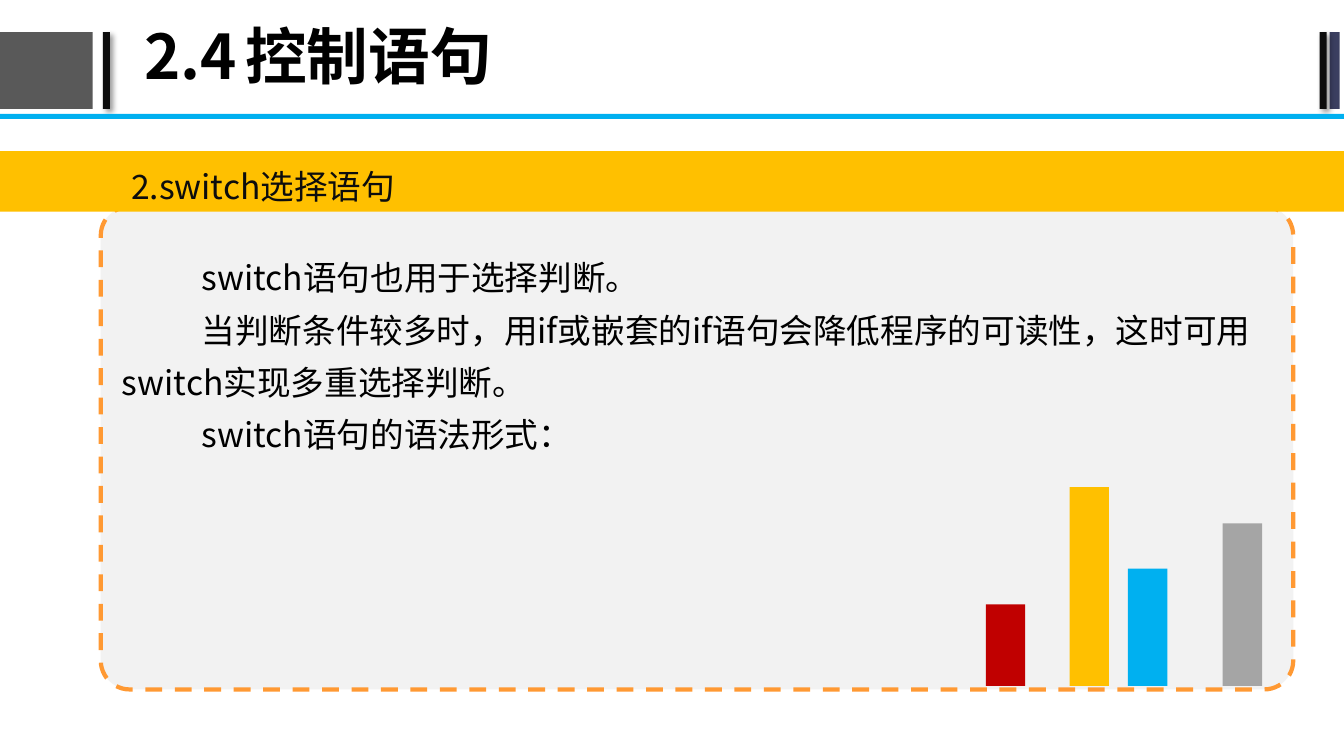
from dataclasses import dataclass

from lxml.etree import SubElement as add_sub
from pptx import Presentation
from pptx.dml.color import RGBColor
from pptx.enum.dml import MSO_LINE_DASH_STYLE as Dash
from pptx.enum.shapes import MSO_SHAPE as Kind
from pptx.enum.text import MSO_ANCHOR as Anchor, MSO_AUTO_SIZE as Fit, PP_ALIGN as Align
from pptx.oxml.ns import qn
from pptx.util import Inches, Pt

WIDE, HIGH = Inches(13.33), Inches(7.5)
FACE = "Noto Sans CJK SC"
FLOOR = 90.73
PAD = {
    "margin_left": Inches(0.13),
    "margin_right": Inches(0.13),
    "margin_top": Inches(0.07),
    "margin_bottom": Inches(0.07),
}


@dataclass
class Area:
    """A rectangle in percent of the slide's width and height."""

    x: float
    y: float
    w: float
    h: float


@dataclass
class Block:
    """A filled rectangle, with or without a soft shadow."""

    area: Area
    fill: str
    shade: bool = False


@dataclass
class Bar:
    """A bar that stands on the floor of the panel."""

    x: float
    h: float
    fill: str


HEAD = [
    Block(Area(0, 4.27, 6.9, 10.13), "595959"),
    Block(Area(7.65, 4.27, 0.53, 10.13), "0D0D0D", True),
    Block(Area(98.93, 4.27, 0.75, 10.13), "3B3F60"),
    Block(Area(98.18, 4.27, 0.53, 10.13), "0D0D0D", True),
    Block(Area(0, 15.07, 100, 0.67), "00B0F0"),
]
PANEL = Block(Area(7.5, 27.33, 88.73, 63.87), "F2F2F2")
BAND = Block(Area(0, 20, 100, 8), "FFC000")
BARS = [
    Bar(90.98, 21.5, "A5A5A5"),
    Bar(83.93, 15.5, "00B0F0"),
    Bar(79.58, 26.3, "FFC000"),
    Bar(73.35, 10.8, "C00000"),
]
LINES = [
    "switch语句也用于选择判断。",
    "当判断条件较多时，用if或嵌套的if语句会降低程序的可读性，这时可用switch实现多重选择判断。",
    "switch语句的语法形式：",
]


def tint(code: str) -> RGBColor:
    """Turn a hex string into a colour."""
    return RGBColor.from_string(code)


def apply(item, values: dict) -> None:
    """Set each named attribute on the item."""
    for name, value in values.items():
        setattr(item, name, value)


def place(area: Area) -> dict:
    """Give the area as position and size values."""
    return {
        "left": int(WIDE * area.x / 100),
        "top": int(HIGH * area.y / 100),
        "width": int(WIDE * area.w / 100),
        "height": int(HIGH * area.h / 100),
    }


def draw(slide, block: Block, kind=Kind.RECTANGLE):
    """Draw a block without an outline."""
    shape = slide.shapes.add_shape(kind, *place(block.area).values())
    shape.fill.solid()
    shape.fill.fore_color.rgb = tint(block.fill)
    shape.line.fill.background()
    shape.shadow.inherit = False
    if block.shade:
        cast(shape)
    return shape


def cast(shape) -> None:
    """Cast a soft black shadow to the lower right."""
    list_ = shape._element.spPr.find(qn("a:effectLst"))
    outer = add_sub(list_, qn("a:outerShdw"), blurRad=str(Pt(4)), dist=str(Pt(3)),
                    dir="2700000", algn="tl", rotWithShape="0")
    color = add_sub(outer, qn("a:srgbClr"), val="000000")
    add_sub(color, qn("a:alpha"), val="40000")


def write(shape, lines: list, frame: dict, para: dict, font: dict, color: str,
          indent: float = 0, stop: float = 0) -> None:
    """Fill a shape with formatted, unbulleted paragraphs."""
    text = shape.text_frame
    apply(text, {"word_wrap": True, "auto_size": Fit.NONE, **frame})
    text.text = "\n".join(lines)
    for item in text.paragraphs:
        props = item._p.get_or_add_pPr()
        props.set("marL", "0")
        props.set("indent", str(Inches(indent)))
        add_sub(props, qn("a:buNone"))
        if stop:
            tabs = add_sub(props, qn("a:tabLst"))
            add_sub(tabs, qn("a:tab"), pos=str(Inches(stop)), algn="l")
        apply(item, {"alignment": Align.LEFT, "space_before": Pt(0), **para})
        for run in item.runs:
            apply(run.font, {"name": FACE, **font})
            run.font.color.rgb = tint(color)
            add_sub(run._r.get_or_add_rPr(), qn("a:ea"), typeface=FACE)


def build() -> None:
    """Build the slide and save it."""
    deck = Presentation()
    apply(deck, {"slide_width": WIDE, "slide_height": HIGH})
    slide = deck.slides.add_slide(deck.slide_layouts[1])
    title, body = slide.shapes.title, slide.placeholders[1]

    for block in HEAD:
        draw(slide, block)
    apply(title, place(Area(10, 0, 84.38, 15.73)))
    write(title, ["2.4\t控制语句"], {"vertical_anchor": Anchor.MIDDLE},
          {"line_spacing": 0.9}, {"size": Pt(44), "bold": True}, "000000", stop=1.33)

    panel = draw(slide, PANEL, Kind.ROUNDED_RECTANGLE)
    panel.adjustments[0] = 0.06
    panel.line.color.rgb = tint("FF9933")
    apply(panel.line, {"width": Pt(3), "dash_style": Dash.DASH})

    apply(body, place(Area(8.1, 31.47, 86.4, 45.2)))
    write(body, LINES, {"vertical_anchor": Anchor.TOP, **PAD}, {"line_spacing": 1.3},
          {"size": Pt(24)}, "000000", indent=0.79)
    slide.shapes._spTree.append(body._element)

    draw(slide, BAND)
    label = slide.shapes.add_textbox(*place(Area(8.78, 20, 76.43, 7.73)).values())
    write(label, ["2.switch选择语句"], PAD, {"line_spacing": 1.2}, {"size": Pt(24)}, "0D0D0D")

    for bar in BARS:
        draw(slide, Block(Area(bar.x, FLOOR - bar.h, 2.93, bar.h), bar.fill))
    deck.save("out.pptx")


if __name__ == "__main__":
    build()
